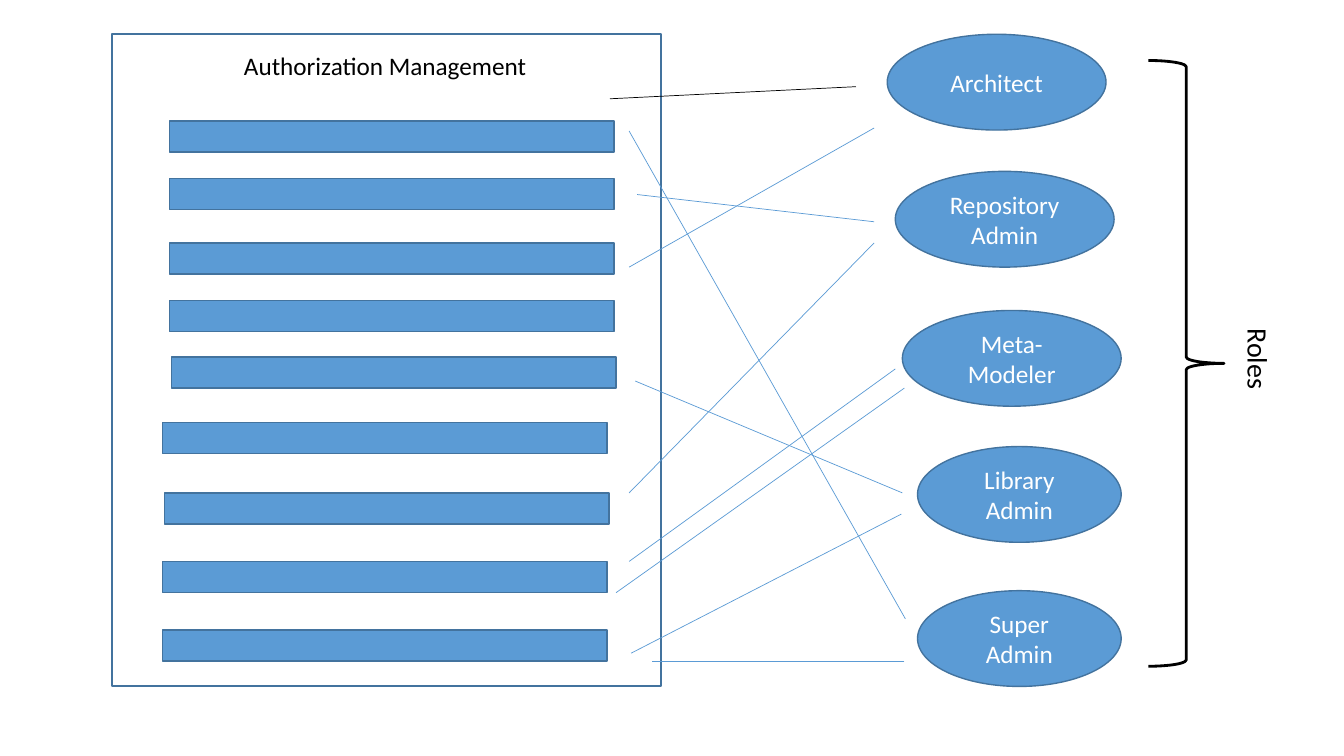
"""Build the slide that maps authorization entries to roles."""
from lxml.etree import SubElement
from pptx import Presentation
from pptx.dml.color import RGBColor
from pptx.enum.shapes import MSO_CONNECTOR, MSO_SHAPE
from pptx.enum.text import MSO_ANCHOR, PP_ALIGN
from pptx.oxml.ns import qn
from pptx.util import Inches, Pt

COLORS = {"blue": "5B9BD5", "outline": "43739E", "black": "000000", "white": "FFFFFF"}


def add_box(preset, box, fill, outline, weight):
    shape = slide.shapes.add_shape(preset, *map(Inches, box))
    shape.shadow.inherit = False
    if fill:
        shape.fill.solid()
        shape.fill.fore_color.rgb = RGBColor.from_string(COLORS[fill])
    else:
        shape.fill.background()
    shape.line.color.rgb = RGBColor.from_string(COLORS[outline])
    shape.line.width = Pt(weight)
    return shape


def write(shape, text, size, color, anchor):
    frame = shape.text_frame
    frame.text = text
    frame.word_wrap = True
    frame.vertical_anchor = anchor
    paragraph = frame.paragraphs[0]
    paragraph.alignment = PP_ALIGN.CENTER
    paragraph.font.name = "Calibri"
    paragraph.font.size = Pt(size)
    paragraph.font.color.rgb = RGBColor.from_string(COLORS[color])


presentation = Presentation()
presentation.slide_width = Inches(13.33)
presentation.slide_height = Inches(7.5)
slide = presentation.slides.add_slide(presentation.slide_layouts[5])

heading = slide.shapes.title
heading.left, heading.top, heading.width, heading.height = map(Inches, (2.13, 0.45, 3.38, 0.4))
write(heading, "Authorization Management", 18, "black", MSO_ANCHOR.TOP)

add_box(MSO_SHAPE.RECTANGLE, (1.11, 0.34, 5.45, 6.47), None, "outline", 1.5)

authorizations = [
    (1.68, 1.2), (1.68, 1.77), (1.68, 2.41), (1.68, 2.98), (1.7, 3.54),
    (1.61, 4.19), (1.63, 4.89), (1.61, 5.57), (1.61, 6.25),
]
for left, top in authorizations:
    add_box(MSO_SHAPE.RECTANGLE, (left, top, 4.41, 0.31), "blue", "outline", 1)

roles = [
    ("Architect", 8.8, 0.34, 2.17),
    ("Repository Admin", 8.88, 1.7, 2.17),
    ("Meta-Modeler", 8.95, 3.08, 2.17),
    ("Library Admin", 9.1, 4.43, 2.02),
    ("Super Admin", 9.1, 5.86, 2.02),
]
for role, left, top, width in roles:
    ellipse = add_box(MSO_SHAPE.OVAL, (left, top, width, 0.95), "blue", "outline", 1)
    write(ellipse, role, 18, "white", MSO_ANCHOR.MIDDLE)

add_box(MSO_SHAPE.RIGHT_BRACE, (11.39, 0.6, 0.75, 6.01), None, "black", 2)
roles_label = slide.shapes.add_textbox(*map(Inches, (11.93, 3.34, 1.1, 0.44)))
roles_label.rotation = 90
write(roles_label, "Roles", 20, "black", MSO_ANCHOR.TOP)

assignments = [
    (8.49, 0.86, 6.05, 0.98, "black"),
    (8.67, 1.27, 6.24, 2.65, "blue"),
    (8.67, 2.2, 6.32, 1.93, "blue"),
    (8.67, 2.41, 6.24, 4.89, "blue"),
    (8.88, 3.66, 6.24, 5.57, "blue"),
    (8.97, 3.85, 6.11, 5.88, "blue"),
    (8.95, 4.89, 6.3, 3.78, "blue"),
    (8.94, 5.1, 6.26, 6.48, "blue"),
    (8.98, 6.14, 6.24, 1.3, "blue"),
    (8.97, 6.56, 6.47, 6.56, "blue"),
]
for *ends, color in assignments:
    assignment = slide.shapes.add_connector(MSO_CONNECTOR.STRAIGHT, *map(Inches, ends))
    assignment.line.color.rgb = RGBColor.from_string(COLORS[color])
    assignment.line.width = Pt(0.5)
    SubElement(assignment._element.spPr, qn("a:effectLst"))

presentation.save("out.pptx")
